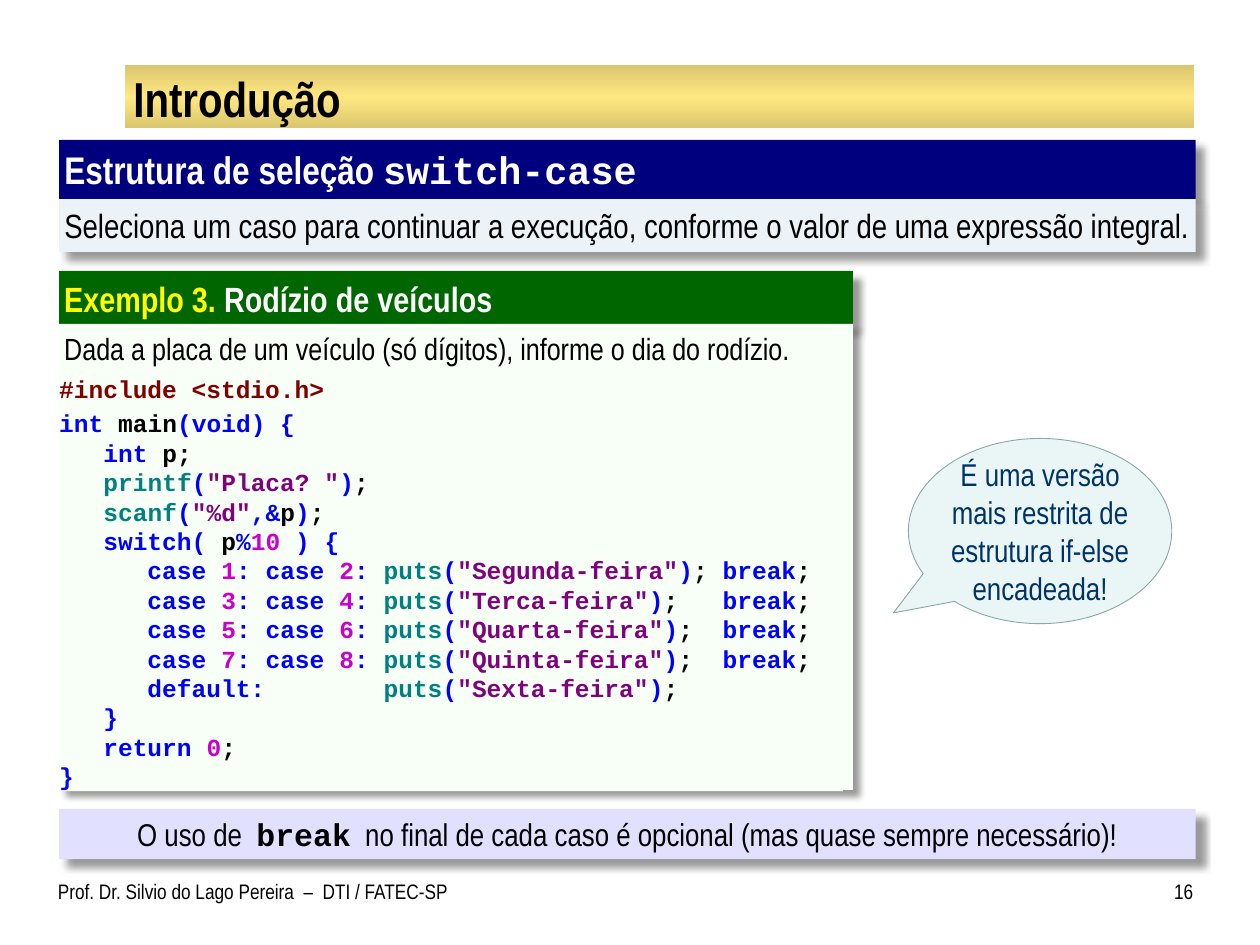
from dataclasses import dataclass

from lxml import etree
from pptx import Presentation
from pptx.dml.color import RGBColor
from pptx.enum.shapes import MSO_SHAPE
from pptx.enum.text import MSO_ANCHOR, PP_ALIGN
from pptx.oxml import parse_xml
from pptx.oxml.ns import qn
from pptx.util import Inches, Pt

RECT = MSO_SHAPE.RECTANGLE
BUBBLE = MSO_SHAPE.OVAL_CALLOUT
TOP, MIDDLE = MSO_ANCHOR.TOP, MSO_ANCHOR.MIDDLE
LEFT, CENTER, RIGHT, JUST = PP_ALIGN.LEFT, PP_ALIGN.CENTER, PP_ALIGN.RIGHT, PP_ALIGN.JUSTIFY


@dataclass(frozen=True)
class Theme:
    sans: str = "Arial Narrow"
    mono: str = "Courier New"
    black: str = "000000"
    white: str = "FFFFFF"
    yellow: str = "FFFF00"
    gold: str = "DAC66E"
    glow: str = "FFE781"
    navy: str = "00007E"
    ice: str = "EBF3F9"
    lilac: str = "E1E1FF"
    green: str = "006600"
    mint: str = "F7FFF7"
    foam: str = "EAF5F6"
    edge: str = "8AA6A8"
    ink: str = "003366"
    title: float = 28
    head: float = 22
    lead: float = 19.2
    sub: float = 20
    task: float = 17.5
    body: float = 18
    code: float = 14
    foot: float = 12


T = Theme()
HUES = {"d": "800000", "k": "0000FF", "n": T.black, "f": "008080", "s": "800080", "v": "CC00CC"}
PAD = (0.04, 0.05, 0.04, 0.05)


def rgb(code):
    return RGBColor.from_string(code)


def style(font, size, color, name=T.sans, bold=False):
    for key, val in {"size": Pt(size), "name": name, "bold": bold}.items():
        setattr(font, key, val)
    font.color.rgb = rgb(color)


def write(shape, paras, pad=PAD, align=LEFT, anchor=TOP, gaps=()):
    frame = shape.text_frame
    sides = ("margin_left", "margin_top", "margin_right", "margin_bottom")
    opts = dict(zip(sides, map(Inches, pad)))
    opts.update(word_wrap=True, vertical_anchor=anchor)
    for key, val in opts.items():
        setattr(frame, key, val)
    for num, runs in enumerate(paras):
        para = frame.add_paragraph() if num else frame.paragraphs[0]
        para.alignment = align
        para.space_before = Pt(dict(gaps).get(num, 0))
        for text, *look in runs:
            run = para.add_run()
            run.text = text
            style(run.font, *look)


def label(slide, box, runs, **opts):
    write(slide.shapes.add_textbox(*map(Inches, box)), [runs], **opts)


def panel(slide, box, fill, kind=RECT, shade=False):
    shape = slide.shapes.add_shape(kind, *map(Inches, box))
    shape.shadow.inherit = False
    shape.fill.solid()
    shape.fill.fore_color.rgb = rgb(fill)
    shape.line.fill.background()
    if shade:
        cast(shape)
    return shape


def cast(shape):
    list_ = shape._element.spPr.find(qn("a:effectLst"))
    drop = etree.SubElement(list_, qn("a:outerShdw"), blurRad=str(Pt(4)), dist=str(Pt(6)),
                            dir="2700000", algn="tl", rotWithShape="0")
    tint = etree.SubElement(drop, qn("a:srgbClr"), val=T.black)
    etree.SubElement(tint, qn("a:alpha"), val="40000")


def blend(shape, stops):
    uri = "http://schemas.openxmlformats.org/drawingml/2006/main"
    parts = "".join(f'<a:gs pos="{pos * 1000}"><a:srgbClr val="{hue}"/></a:gs>' for pos, hue in stops)
    grad = parse_xml(f'<a:gradFill xmlns:a="{uri}" rotWithShape="1"><a:gsLst>{parts}</a:gsLst>'
                     '<a:lin ang="5400000" scaled="0"/></a:gradFill>')
    props = shape._element.spPr
    props.replace(props.find(qn("a:solidFill")), grad)


def call(name, text):
    return f'f{name}|k(|s"{text}"'


def case(num, day, gap):
    return f'k      case |v{num}|k: case |v{num + 1}|k: |{call("puts", day)}|k)|n;{gap}|kbreak|n;'


def lines():
    days = [("Segunda-feira", " "), ("Terca-feira", "   "),
            ("Quarta-feira", "  "), ("Quinta-feira", "  ")]
    return [
        "d#include <stdio.h>",
        "kint|n main|k(void) {",
        "k   int|n p;",
        f'n   |{call("printf", "Placa? ")}|k)|n;',
        f'n   |{call("scanf", "%d")}|k,&|np|k)|n;',
        "k   switch(|n p|k%|v10 |k) {",
        *(case(2 * num + 1, *day) for num, day in enumerate(days)),
        f'k      default:        |{call("puts", "Sexta-feira")}|k)|n;',
        "k   }",
        "k   return |v0|n;",
        "k}",
    ]


def code(slide, box):
    paras = [[(part[1:], T.code, HUES[part[0]], T.mono, True) for part in line.split("|")]
             for line in lines()]
    write(panel(slide, box, T.mint), paras, (0, 0.05, 0, 0.05), JUST, MIDDLE, {1: 3})


def bubble(slide, box, text):
    shape = panel(slide, box, T.foam, BUBBLE)
    shape.adjustments[0], shape.adjustments[1] = -0.557, 0.442
    shape.line.color.rgb = rgb(T.edge)
    shape.line.width = Pt(0.5)
    write(shape, [[(text, T.body, T.ink)]], (0, 0, 0, 0), CENTER, MIDDLE)


def main():
    deck = Presentation()
    deck.slide_width, deck.slide_height = Inches(10), Inches(7.5)
    slide = deck.slides.add_slide(deck.slide_layouts[6])
    left, wide, half = 0.47, 9.02, 6.3

    band = panel(slide, (0.99, 0.52, 8.49, 0.5), T.gold)
    blend(band, [(0, T.gold), (50, T.glow), (100, T.gold)])
    label(slide, (1, 0.54, 8.47, 0.47), [("Introdução", T.title, T.black, T.sans, True)],
          pad=(0.06, 0.01, 0.06, 0.01), anchor=MIDDLE)
    label(slide, (0.46, 6.92, 3.27, 0.42),
          [("Prof. Dr. Silvio do Lago Pereira  –  DTI / FATEC-SP", T.foot, T.black)],
          pad=(0, 0.05, 0.1, 0.05))
    label(slide, (9.08, 6.92, 0.39, 0.42), [("16", T.foot, T.black)],
          pad=(0.1, 0.05, 0, 0.05), align=RIGHT)

    bars = [
        (1.11, wide, 0.47, T.navy, LEFT,
         [("Estrutura de seleção ", T.head, T.white, T.sans, True),
          ("switch-case", T.head, T.white, T.mono, True)]),
        (1.58, wide, 0.42, T.ice, JUST,
         [("Seleciona um caso para continuar a execução, conforme o valor de uma expressão integral.",
           T.lead, T.black)]),
        (6.42, wide, 0.4, T.lilac, CENTER,
         [("O uso de  ", T.body, T.black), ("break", T.body, T.black, T.mono, True),
          ("  no final de cada caso é opcional (mas quase sempre necessário)!", T.body, T.black)]),
        (2.15, half, 0.44, T.green, LEFT,
         [("Exemplo 3.", T.sub, T.yellow, T.sans, True),
          (" Rodízio de veículos", T.sub, T.white, T.sans, True)]),
        (2.57, half, 3.7, T.mint, JUST,
         [("Dada a placa de um veículo (só dígitos), informe o dia do rodízio.", T.task, T.black)]),
    ]
    for top, width, high, fill, align, runs in bars:
        write(panel(slide, (left, top, width, high), fill, shade=True), [runs], align=align)

    code(slide, (left, 2.96, 6.22, 3.32))
    bubble(slide, (7.21, 3.48, 2.09, 1.47),
           "É uma versão mais restrita de estrutura if-else encadeada!")
    deck.save("out.pptx")


if __name__ == "__main__":
    main()
